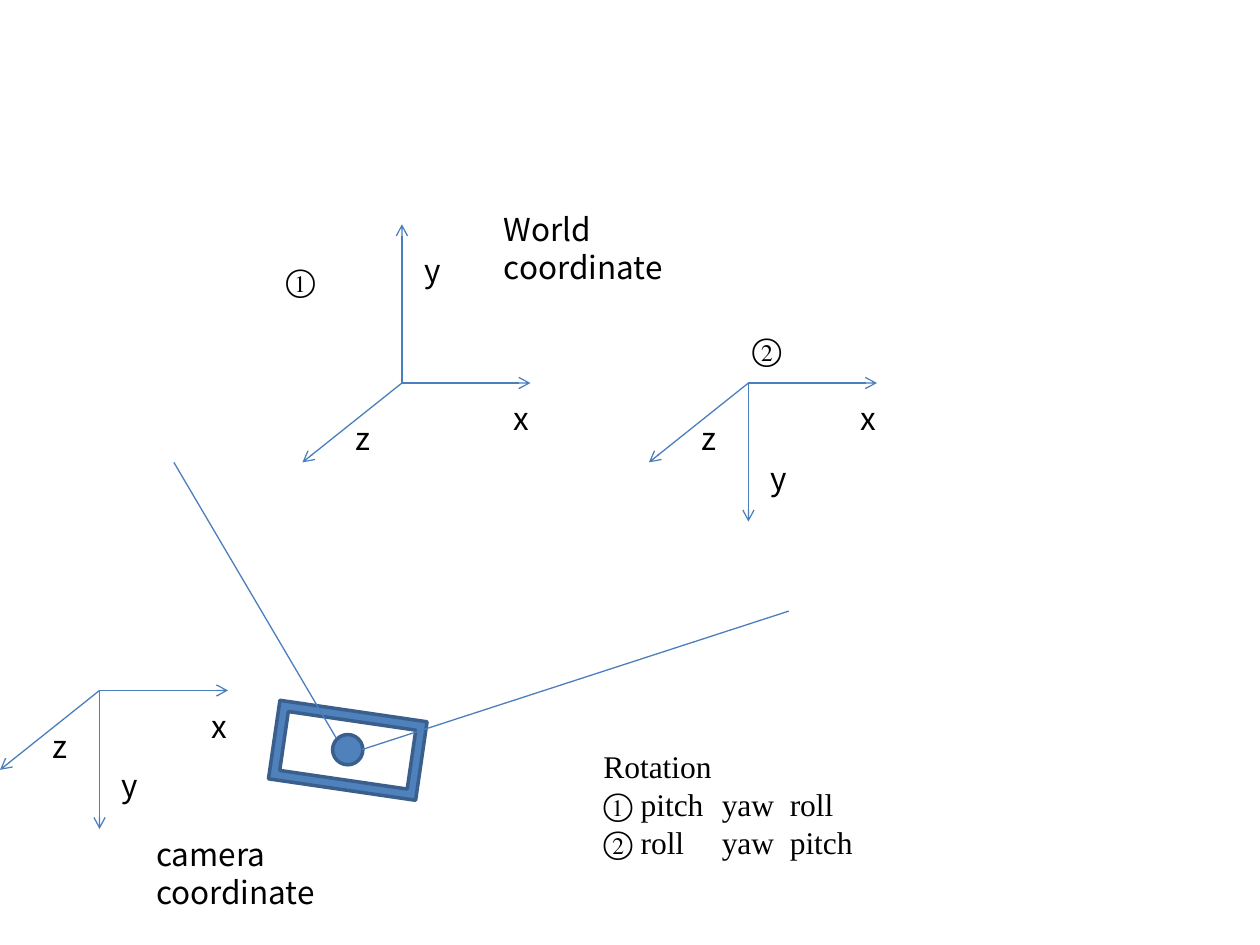
from dataclasses import dataclass

from lxml import etree
from pptx import Presentation
from pptx.dml.color import RGBColor
from pptx.enum.shapes import MSO_CONNECTOR, MSO_SHAPE
from pptx.oxml.ns import qn
from pptx.util import Inches, Pt

STRAIGHT = MSO_CONNECTOR.STRAIGHT


@dataclass(frozen=True)
class Theme:
    """Colours, fonts and sizes of the slide."""
    fill: RGBColor = RGBColor(0x4F, 0x81, 0xBD)
    edge: RGBColor = RGBColor(0x3A, 0x5F, 0x8C)
    line: RGBColor = RGBColor(0x4B, 0x7E, 0xBC)
    ink: RGBColor = RGBColor(0, 0, 0)
    sans: str = "Noto Sans CJK KR"
    serif: str = "Times New Roman"
    size: float = 18
    thin: float = 0.75
    thick: float = 2


THEME = Theme()

# Axis tip and label corner, both measured from the origin
X_AXIS = ("x", (1.02, 0), (0.79, 0.08))
Z_AXIS = ("z", (-0.79, 0.63), (-0.47, 0.24))
Y_UP = ("y", (0, -1.26), (0.08, -1.1))
Y_DOWN = ("y", (0, 1.1), (0.08, 0.55))
FRAMES = [
    ((3.19, 3.04), Y_UP),
    ((5.94, 3.04), Y_DOWN),
    ((0.79, 5.48), Y_DOWN),
]
LABEL = (0.33, 0.4)

CAMERA = [
    (MSO_SHAPE.FRAME, (2.17, 5.64, 1.18, 0.63), 8.3),
    (MSO_SHAPE.OVAL, (2.64, 5.83, 0.24, 0.24), 0),
]
RAYS = [((2.67, 5.86), (1.38, 3.67)), ((2.87, 5.95), (6.26, 4.85))]

TITLES = [
    ("World coordinate", (3.9, 1.62, 2.15, 0.4)),
    ("camera coordinate", (1.14, 6.58, 2.3, 0.4)),
]
MARKS = [("①", (2.17, 2.02, 0.45, 0.4)), ("②", (5.87, 2.57, 0.45, 0.4))]
ORDER = ["Rotation", "① pitch\tyaw\troll", "② roll\tyaw\tpitch"]
ORDER_BOX = (4.69, 5.88, 2.26, 1.01)
TABS = (0.94, 1.48)


def add_line(slide, start, end, arrow=False):
    """Draw a thin line, with an open arrowhead at its end if asked."""
    line = slide.shapes.add_connector(STRAIGHT, *map(Inches, start + end))
    line.line.color.rgb = THEME.line
    line.line.width = Pt(THEME.thin)
    if arrow:
        etree.SubElement(line.line._get_or_add_ln(), qn("a:tailEnd"), type="arrow")
    etree.SubElement(line._element.spPr, qn("a:effectLst"))


def add_text(slide, rows, box, face, wrap=False, tabs=()):
    """Write rows of text in a box."""
    frame = slide.shapes.add_textbox(*map(Inches, box)).text_frame
    frame.word_wrap = wrap
    look = {"name": face, "size": Pt(THEME.size)}
    for i, row in enumerate(rows):
        para = frame.add_paragraph() if i else frame.paragraphs[0]
        run = para.add_run()
        run.text = row
        for key, value in look.items():
            setattr(run.font, key, value)
        run.font.color.rgb = THEME.ink
        if tabs:
            stops = etree.SubElement(para._p.get_or_add_pPr(), qn("a:tabLst"))
            for stop in tabs:
                etree.SubElement(stops, qn("a:tab"), pos=str(Inches(stop)), algn="l")


def add_axes(slide, origin, y_axis):
    """Draw three labelled axes from one origin."""
    def shift(step):
        """Move a step away from the origin."""
        return tuple(a + b for a, b in zip(origin, step))

    for name, tip, corner in (y_axis, X_AXIS, Z_AXIS):
        add_line(slide, origin, shift(tip), arrow=True)
        add_text(slide, [name], shift(corner) + LABEL, THEME.sans)


def add_part(slide, kind, box, turn):
    """Draw one solid part of the camera."""
    part = slide.shapes.add_shape(kind, *map(Inches, box))
    part.rotation = turn
    part.shadow.inherit = False
    part.fill.solid()
    part.fill.fore_color.rgb = THEME.fill
    part.line.color.rgb = THEME.edge
    part.line.width = Pt(THEME.thick)


def main():
    """Build and save the slide."""
    deck = Presentation()
    deck.slide_width, deck.slide_height = Inches(10), Inches(7.5)
    slide = deck.slides.add_slide(deck.slide_layouts[6])
    for origin, y_axis in FRAMES:
        add_axes(slide, origin, y_axis)
    for text, box in TITLES:
        add_text(slide, [text], box, THEME.sans, wrap=True)
    for part in CAMERA:
        add_part(slide, *part)
    for start, end in RAYS:
        add_line(slide, start, end)
    add_text(slide, ORDER, ORDER_BOX, THEME.serif, tabs=TABS)
    for text, box in MARKS:
        add_text(slide, [text], box, THEME.serif)
    deck.save("out.pptx")


main()
